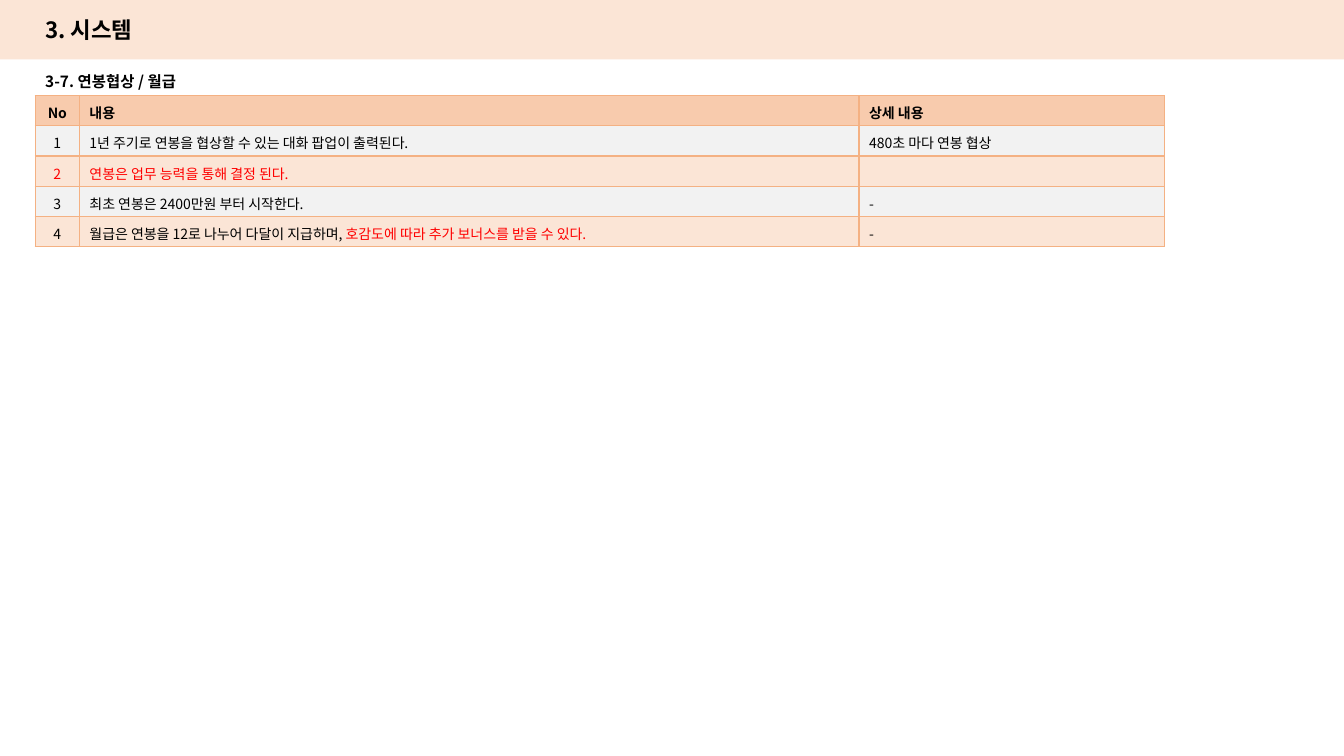
from dataclasses import dataclass

from lxml.etree import SubElement
from pptx import Presentation
from pptx.dml.color import RGBColor
from pptx.enum.shapes import MSO_SHAPE as Preset
from pptx.enum.text import MSO_ANCHOR as Anchor, MSO_AUTO_SIZE as AutoSize, PP_ALIGN as Align
from pptx.oxml.ns import qn
from pptx.shapes.base import BaseShape
from pptx.slide import Slide
from pptx.table import Table, _Cell as Cell
from pptx.text.text import TextFrame, _Paragraph as Paragraph
from pptx.util import Cm, Pt

FONT = "Noto Sans CJK KR"
COLORS = {
    "text": "000000",
    "change": "FF0000",
    "band": "FBE5D6",
    "header": "F8CBAD",
    "odd": "F2F2F2",
    "even": "FBE5D6",
    "border": "F4B183",
}
LEFT = 0.89
COLUMN_WIDTHS = (1.11, 19.65, 7.69)
ROW_HEIGHT = 0.76
TABLE_SIZE = 10


@dataclass(frozen=True)
class TextPart:
    text: str
    color: str = "text"


@dataclass(frozen=True)
class TableRow:
    fill: str
    cells: tuple[tuple[TextPart, ...], ...]
    bold: bool = False


@dataclass(frozen=True)
class Heading:
    text: str
    top: float
    height: float
    size: int


TITLE = Heading("3. 시스템", 0.28, 0.94, 16)
SUBTITLE = Heading("3-7. 연봉협상 / 월급", 1.68, 0.73, 11)

ROWS = (
    TableRow("header", ((TextPart("No"),), (TextPart("내용"),), (TextPart("상세 내용"),)), True),
    TableRow("odd", (
        (TextPart("1"),),
        (TextPart("1년 주기로 연봉을 협상할 수 있는 대화 팝업이 출력된다."),),
        (TextPart("480초 마다 연봉 협상"),),
    )),
    TableRow("even", (
        (TextPart("2", "change"),),
        (TextPart("연봉은 업무 능력을 통해 결정 된다.", "change"),),
        (),
    )),
    TableRow("odd", (
        (TextPart("3"),),
        (TextPart("최초 연봉은 2400만원 부터 시작한다."),),
        (TextPart("-"),),
    )),
    TableRow("even", (
        (TextPart("4"),),
        (
            TextPart("월급은 연봉을 12로 나누어 다달이 지급하며, "),
            TextPart("호감도에 따라 추가 보너스를 받을 수 있다.", "change"),
        ),
        (TextPart("-"),),
    )),
)


def color_of(name: str) -> RGBColor:
    return RGBColor.from_string(COLORS[name])


def add_run(paragraph: Paragraph, part: TextPart, size: int, bold: bool) -> None:
    run = paragraph.add_run()
    run.text = part.text
    font = run.font
    font.name, font.size, font.bold = FONT, Pt(size), bold
    font.color.rgb = color_of(part.color)
    font._element.find(qn("a:latin")).addnext(
        font._element.makeelement(qn("a:ea"), {"typeface": FONT}))


def write_heading(shape: BaseShape, heading: Heading) -> None:
    shape.left, shape.top = Cm(LEFT), Cm(heading.top)
    shape.width, shape.height = Cm(5.36), Cm(heading.height)
    frame: TextFrame = shape.text_frame
    frame.auto_size, frame.word_wrap = AutoSize.NONE, True
    frame.vertical_anchor = Anchor.MIDDLE
    paragraph = frame.paragraphs[0]
    paragraph.alignment = Align.LEFT
    add_run(paragraph, TextPart(heading.text), heading.size, True)


def add_borders(cell: Cell) -> None:
    properties = cell._tc.get_or_add_tcPr()
    for side in ("L", "R", "T", "B"):
        line = SubElement(properties, qn(f"a:ln{side}"), w=str(Pt(1)))
        fill = SubElement(line, qn("a:solidFill"))
        SubElement(fill, qn("a:srgbClr"), val=COLORS["border"])


def fill_cell(cell: Cell, parts: tuple[TextPart, ...], row: TableRow, centered: bool) -> None:
    add_borders(cell)
    cell.fill.solid()
    cell.fill.fore_color.rgb = color_of(row.fill)
    cell.vertical_anchor = Anchor.MIDDLE
    cell.margin_top = cell.margin_bottom = Cm(0.07)
    paragraph = cell.text_frame.paragraphs[0]
    paragraph.alignment = Align.CENTER if centered else Align.LEFT
    paragraph.line_spacing = 1.2
    for part in parts:
        add_run(paragraph, part, TABLE_SIZE, row.bold)
    if not parts:
        SubElement(paragraph._p, qn("a:endParaRPr"), sz=str(TABLE_SIZE * 100))


def add_salary_table(slide: Slide) -> None:
    table: Table = slide.shapes.add_table(
        len(ROWS), len(COLUMN_WIDTHS), Cm(LEFT), Cm(2.41),
        Cm(sum(COLUMN_WIDTHS)), Cm(ROW_HEIGHT * len(ROWS))).table
    table.first_row = table.horz_banding = False
    for column, width in zip(table.columns, COLUMN_WIDTHS):
        column.width = Cm(width)
    for row_index, row in enumerate(ROWS):
        table.rows[row_index].height = Cm(ROW_HEIGHT)
        for column_index, parts in enumerate(row.cells):
            fill_cell(table.cell(row_index, column_index), parts, row, column_index == 0)


def main() -> None:
    """Build the salary negotiation slide and save it."""
    presentation = Presentation()
    presentation.slide_width, presentation.slide_height = Cm(33.87), Cm(19.05)
    slide = presentation.slides.add_slide(presentation.slide_layouts[5])

    subtitle = slide.shapes.add_textbox(0, 0, 0, 0)
    write_heading(subtitle, SUBTITLE)
    add_salary_table(slide)

    band = slide.shapes.add_shape(Preset.RECTANGLE, 0, 0, presentation.slide_width, Cm(1.5))
    band.shadow.inherit = False
    band.fill.solid()
    band.fill.fore_color.rgb = color_of("band")
    band.line.fill.background()

    title = slide.shapes.title
    write_heading(title, TITLE)
    band.element.addnext(title.element)
    presentation.save("out.pptx")


if __name__ == "__main__":
    main()
